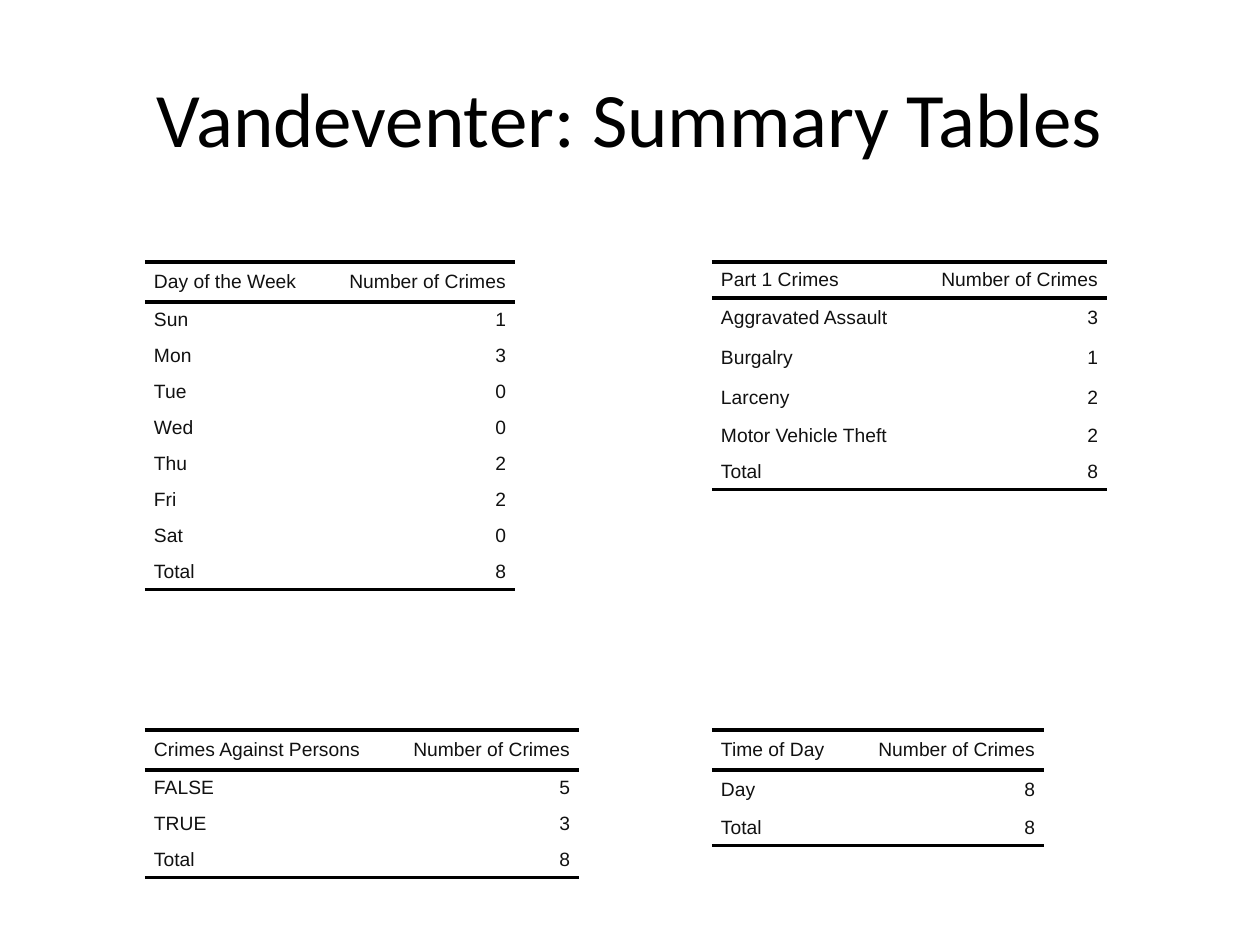
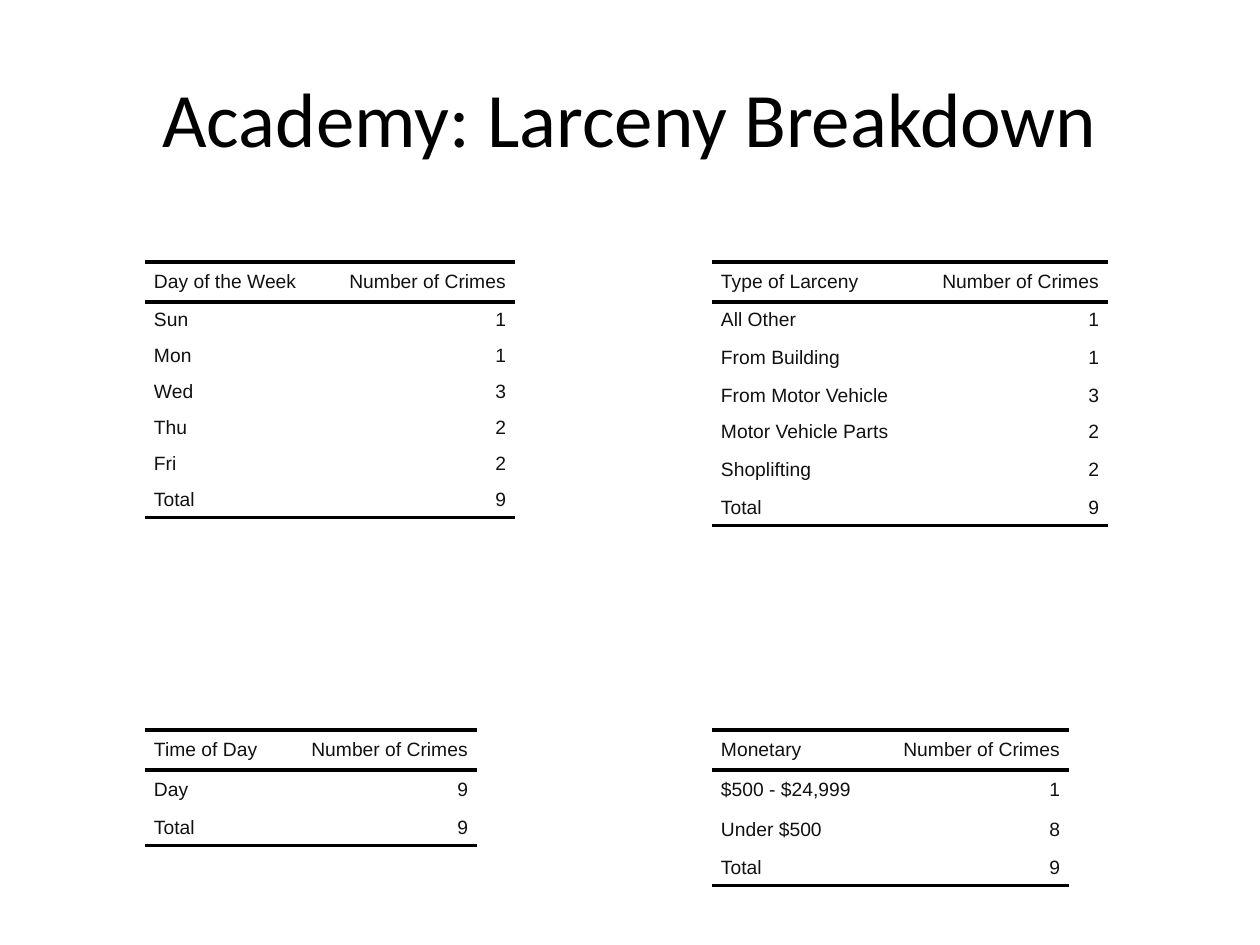
import pptx
import pptx.dml.color
import pptx.enum.text
import pptx.oxml
import pptx.oxml.ns
import pptx.util

PX = 914400 / 126
LEFT, RIGHT = 145, 712
TOP, LOW = 262, 730
COUNT_W = 192
SHORT, TALL = 36, 40
PAD = 9
BLACK, INK = "000000", "111111"
PLAIN = "{2D5ABB26-0587-4C30-8999-92F81FD0307C}"
ALIGN = pptx.enum.text.PP_ALIGN
MIDDLE = pptx.enum.text.MSO_ANCHOR.MIDDLE


def px(n):
    return pptx.util.Emu(round(n * PX))


def color(code):
    return pptx.dml.color.RGBColor.from_string(code)


def style(frame, font, size, code, align):
    para = frame.paragraphs[0]
    para.alignment = align
    for run in para.runs:
        run.font.name = font
        run.font.size = pptx.util.Pt(size)
        run.font.bold = False
        run.font.color.rgb = color(code)


def add_title(slide, text):
    title = slide.shapes.title
    title.left, title.top, title.width, title.height = map(px, (63, 38, 1134, 158))
    title.text_frame.text = text
    title.text_frame.vertical_anchor = MIDDLE
    style(title.text_frame, "Calibri", 44, BLACK, ALIGN.CENTER)


def add_rule(cell, side):
    """Draw a black line on one side of a cell: T or B."""
    space = pptx.oxml.ns.nsdecls("a")
    line = pptx.oxml.parse_xml(
        f'<a:ln{side} {space} w="25400"><a:solidFill>'
        f'<a:srgbClr val="{BLACK}"/></a:solidFill></a:ln{side}>')
    cell._tc.get_or_add_tcPr().append(line)


def fill_cell(cell, text, align, sides):
    cell.margin_left = cell.margin_right = px(PAD)
    cell.margin_top = cell.margin_bottom = 0
    cell.vertical_anchor = MIDDLE
    for side in sides:
        add_rule(cell, side)
    cell.fill.background()
    cell.text_frame.text = str(text)
    style(cell.text_frame, "Arial", 11, INK, align)


def add_counts(slide, x, y, label_w, head, counts, tall=(0,)):
    """Add a table of counts with a total; tall lists the higher rows."""
    rows = [(head, "Number of Crimes"), *counts.items(),
            ("Total", sum(counts.values()))]
    heights = [TALL if i in tall else SHORT for i in range(len(rows))]
    widths = (label_w, COUNT_W)
    frame = slide.shapes.add_table(
        len(rows), 2, px(x), px(y), px(sum(widths)), px(sum(heights)))
    table = frame.table
    table.first_row = table.horz_banding = False
    table._tbl.tblPr.find(pptx.oxml.ns.qn("a:tableStyleId")).text = PLAIN
    for col, width in zip(table.columns, widths):
        col.width = px(width)
    sides = {0: "TB", len(rows) - 1: "B"}
    for i, (row, height) in enumerate(zip(table.rows, heights)):
        row.height = px(height)
        for cell, text, align in zip(row.cells, rows[i], (ALIGN.LEFT, ALIGN.RIGHT)):
            fill_cell(cell, text, align, sides.get(i, ""))


def add_days(slide, counts):
    add_counts(slide, LEFT, TOP, 178, "Day of the Week", counts)


def add_time(slide, x, count):
    add_counts(slide, x, LOW, 140, "Time of Day", {"Day": count}, (0, 1))


def add_slide(deck, title):
    slide = deck.slides.add_slide(deck.slide_layouts[5])
    add_title(slide, title)
    return slide


def main():
    deck = pptx.Presentation()
    deck.slide_width, deck.slide_height = px(1260), px(945)

    slide = add_slide(deck, "Vandeventer: Summary Tables")
    add_days(slide, {"Sun": 1, "Mon": 3, "Tue": 0, "Wed": 0,
                     "Thu": 2, "Fri": 2, "Sat": 0})
    add_counts(slide, RIGHT, TOP, 203, "Part 1 Crimes",
               {"Aggravated Assault": 3, "Burgalry": 1, "Larceny": 2,
                "Motor Vehicle Theft": 2}, (1, 2, 3))
    add_counts(slide, LEFT, LOW, 242, "Crimes Against Persons",
               {"FALSE": 5, "TRUE": 3})
    add_time(slide, RIGHT, 8)

    slide = add_slide(deck, "Academy: Larceny Breakdown")
    add_days(slide, {"Sun": 1, "Mon": 1, "Wed": 3, "Thu": 2, "Fri": 2})
    add_counts(slide, RIGHT, TOP, 204, "Type of Larceny",
               {"All Other": 1, "From Building": 1, "From Motor Vehicle": 3,
                "Motor Vehicle Parts": 2, "Shoplifting": 2}, (0, 2, 5))
    add_time(slide, LEFT, 9)
    add_counts(slide, RIGHT, LOW, 165, "Monetary",
               {"$500 - $24,999": 1, "Under $500": 8}, (0, 1, 2))

    deck.save("out.pptx")


if __name__ == "__main__":
    main()
